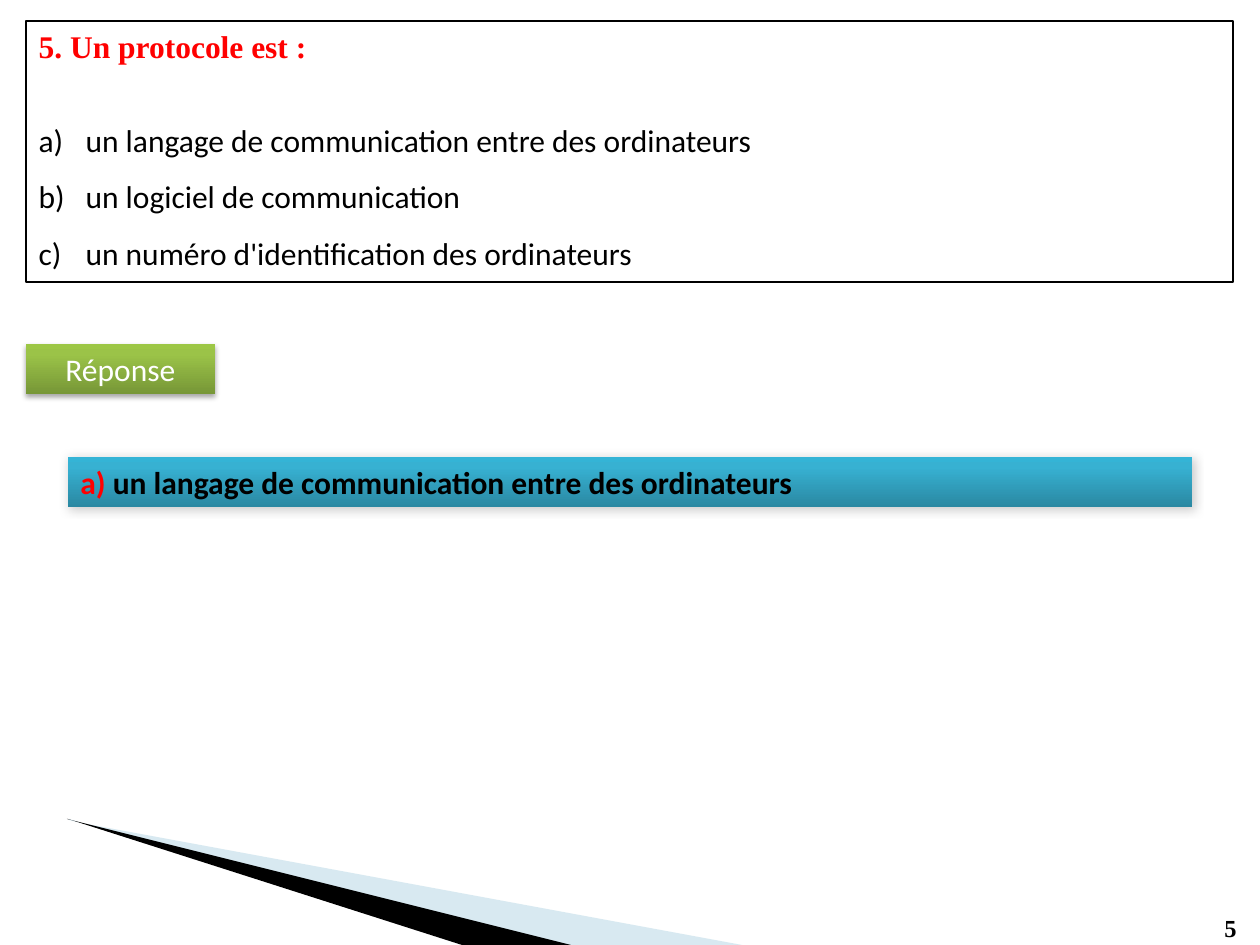
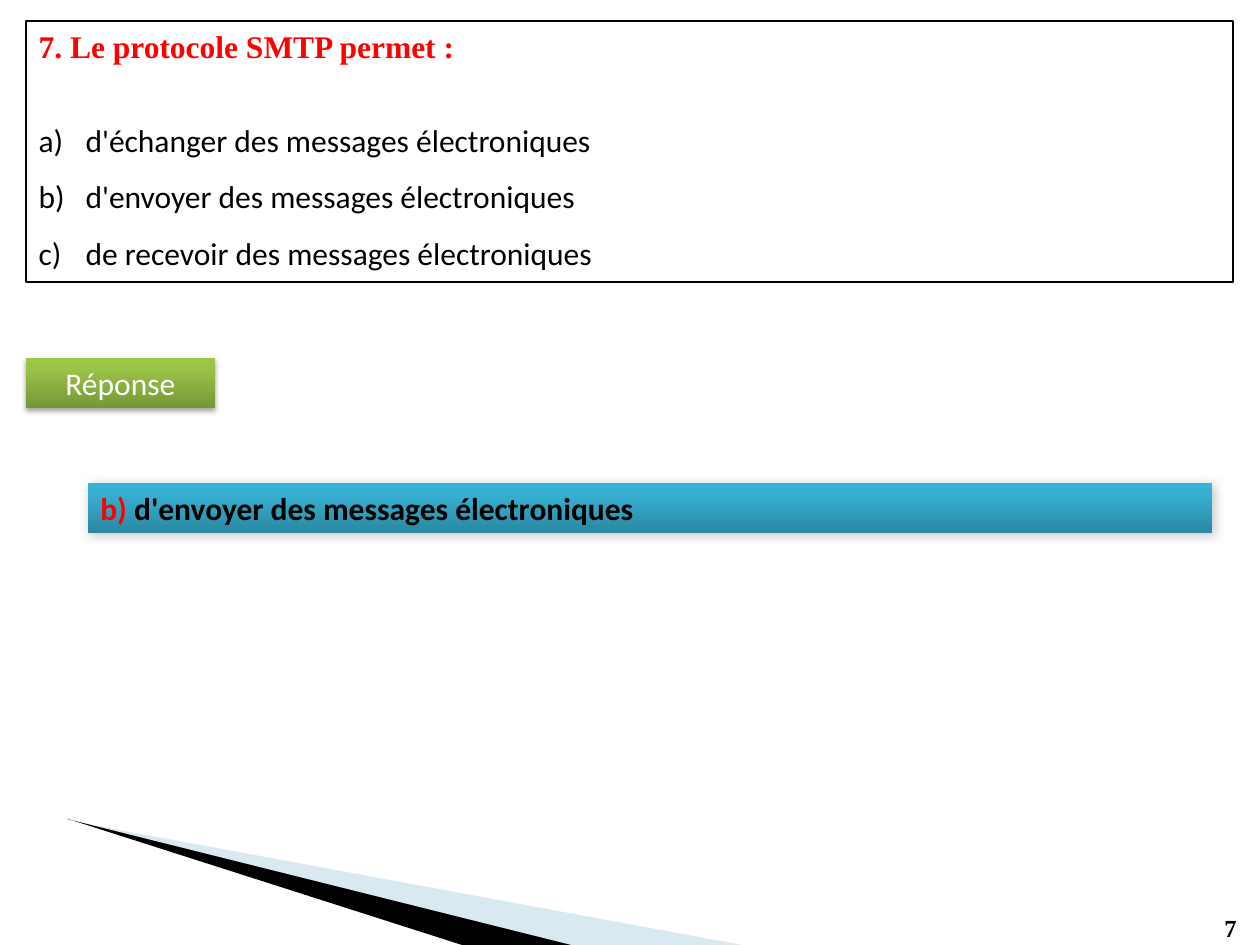
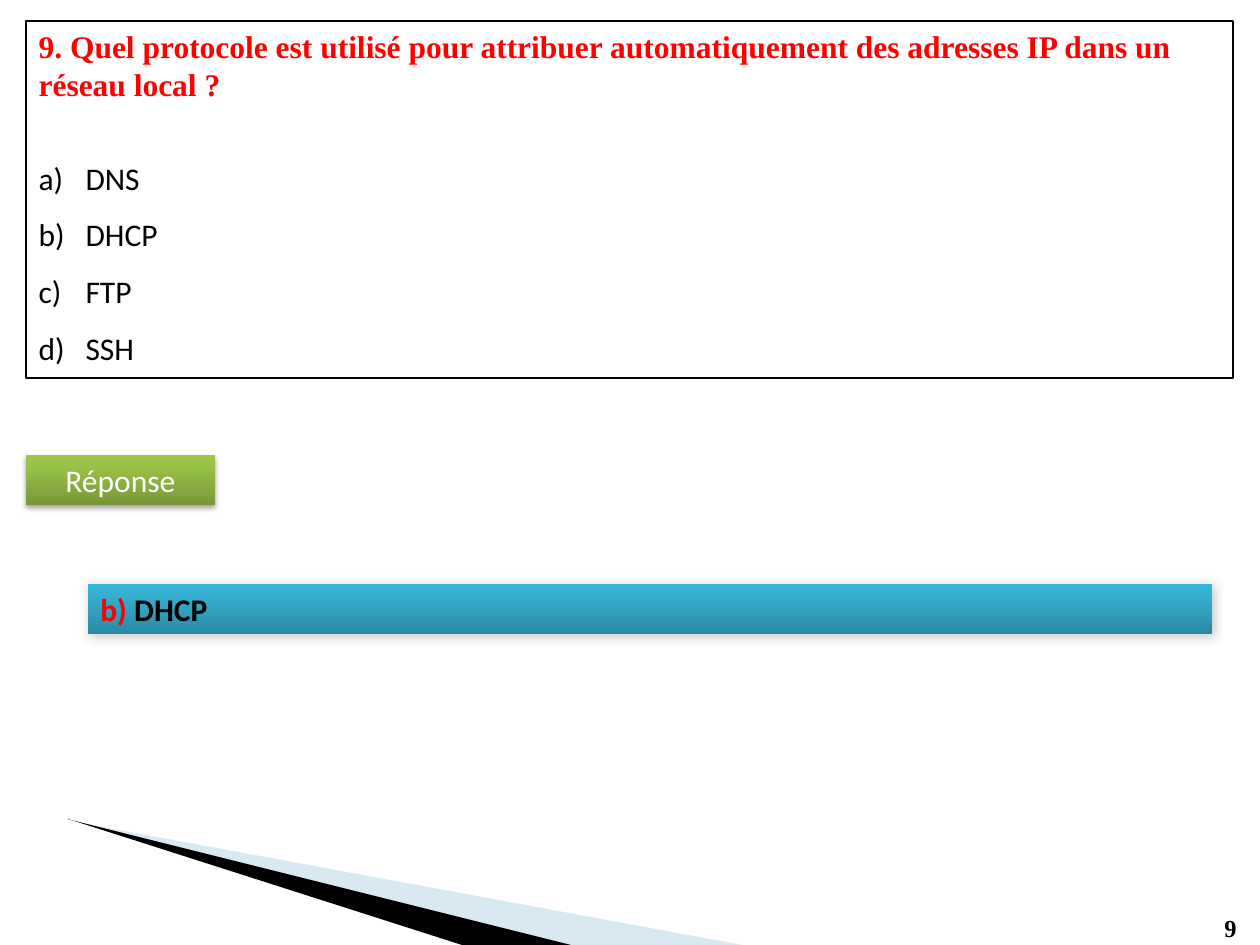
"""Build three quiz slides on network protocols, each with its answer."""
from dataclasses import dataclass

from pptx import Presentation
from pptx.dml.color import RGBColor
from pptx.enum.shapes import MSO_SHAPE
from pptx.enum.text import MSO_ANCHOR, MSO_AUTO_SIZE, PP_ALIGN
from pptx.oxml import parse_xml
from pptx.oxml.ns import nsdecls, qn
from pptx.util import Emu, Pt

RECT = MSO_SHAPE.RECTANGLE
TOP = MSO_ANCHOR.TOP
FIXED = MSO_AUTO_SIZE.NONE
LEFT, CENTER = PP_ALIGN.LEFT, PP_ALIGN.CENTER

QUIZ = [
    {"page": "5", "ask": "5. Un protocole est :",
     "picks": ["un langage de communication entre des ordinateurs",
               "un logiciel de communication",
               "un numéro d'identification des ordinateurs"],
     "right": 0, "high": 261, "label": 344, "reply": (68, 457)},
    {"page": "7", "ask": "7. Le protocole SMTP permet :",
     "picks": ["d'échanger des messages électroniques",
               "d'envoyer des messages électroniques",
               "de recevoir des messages électroniques"],
     "right": 1, "high": 261, "label": 358, "reply": (88, 483)},
    {"page": "9", "ask": "9. Quel protocole est utilisé pour attribuer "
                         "automatiquement des adresses IP dans un réseau local ?",
     "picks": ["DNS", "DHCP", "FTP", "SSH"],
     "right": 1, "high": 357, "label": 455, "reply": (88, 584)},
]
PALE = [[(81, 823), (568, 945), (742, 945)], [(69, 819), (69, 820), (81, 823)]]
DARK = [[(67, 819), (68, 819), (462, 945), (571, 945)]]


@dataclass(frozen=True)
class Theme:
    """Colours, fonts and type sizes."""
    sans: str = "Calibri"
    serif: str = "Times New Roman"
    text: int = 18
    small: int = 14
    gap: int = 21
    ink: str = "000000"
    red: str = "FF0000"
    white: str = "FFFFFF"
    pale: str = "9FCADC"
    green: tuple = ("779737", "9BC348", "9DC746")
    blue: tuple = ("2A88A2", "37B1D2", "34B4D6")
    near: tuple = (35, 3.1, 1.8, 90)
    soft: tuple = (20, 6, 1, 45)


T = Theme()
UNIT = 914400 / 126


def px(n):
    """Turn px into EMU."""
    return Emu(round(n * UNIT))


def style(font, color, face=T.sans, size=T.text, bold=False):
    """Set a font."""
    font.name, font.size, font.bold = face, Pt(size), bold
    font.color.rgb = RGBColor.from_string(color)


def wedge(slide, rings, color, alpha=100):
    """Draw a filled outline and return its element."""
    pen = slide.shapes.build_freeform(*rings[0][0], scale=UNIT)
    pen.add_line_segments(rings[0][1:])
    for ring in rings[1:]:
        pen.move_to(*ring[0])
        pen.add_line_segments(ring[1:])
    shape = pen.convert_to_shape()
    shape.shadow.inherit = False
    shape.line.fill.background()
    shape.fill.solid()
    shape.fill.fore_color.rgb = RGBColor.from_string(color)
    tint = shape.element.spPr.find(".//" + qn("a:srgbClr"))
    tint.append(parse_xml(f'<a:alpha {nsdecls("a")} val="{alpha * 1000}"/>'))
    return shape.element


def decorate(layout, slide):
    """Give the layout the corner wedges in place of its footers."""
    for item in list(layout.placeholders)[1:]:
        item.element.getparent().remove(item.element)
    for item in [wedge(slide, PALE, T.pale, 40), wedge(slide, DARK, T.ink)]:
        layout.shapes.element.append(item)


def bar(slide, x, y, w, colors, shade):
    """Add a shaded bar with a shadow and return its paragraph."""
    shape = slide.shapes.add_shape(RECT, px(x), px(y), px(w), px(50))
    shape.line.fill.background()
    shape.shadow.inherit = False
    stops = "".join(f'<a:gs pos="{at * 1000}"><a:srgbClr val="{tone}"/></a:gs>'
                    for at, tone in zip((0, 80, 100), colors))
    props = shape.element.spPr
    props.find(qn("a:ln")).addprevious(parse_xml(
        f'<a:gradFill {nsdecls("a")} rotWithShape="1"><a:gsLst>{stops}</a:gsLst>'
        '<a:lin ang="16200000" scaled="0"/></a:gradFill>'))
    alpha, blur, dist, angle = shade
    props.find(qn("a:effectLst")).append(parse_xml(
        f'<a:outerShdw {nsdecls("a")} blurRad="{Pt(blur)}" dist="{Pt(dist)}" '
        f'dir="{angle * 60000}" rotWithShape="0"><a:srgbClr val="{T.ink}">'
        f'<a:alpha val="{alpha * 1000}"/></a:srgbClr></a:outerShdw>'))
    shape.text_frame.vertical_anchor = TOP
    return shape.text_frame.paragraphs[0]


def option(frame, text, first):
    """Add one lettered choice."""
    para = frame.add_paragraph()
    para.text, para.alignment, para.line_spacing = text, LEFT, 1.5
    para.space_before = Pt(T.gap if first else 0)
    props = para._p.get_or_add_pPr()
    props.set("marL", str(px(47)))
    props.set("indent", str(-px(47)))
    props.append(parse_xml(f'<a:buAutoNum {nsdecls("a")} type="alphaLcParenR"/>'))
    style(para.font, T.ink)


def question(slide, item):
    """Fill the framed title with the question and its choices."""
    box = slide.shapes.title
    box.left, box.top, box.width, box.height = map(px, (26, 21, 1207, item["high"]))
    box.line.color.rgb = RGBColor.from_string(T.ink)
    box.line.width = Pt(0.75)
    frame = box.text_frame
    frame.auto_size, frame.vertical_anchor, frame.word_wrap = FIXED, TOP, True
    para = frame.paragraphs[0]
    para.text, para.alignment = item["ask"], LEFT
    style(para.font, T.red, T.serif, bold=True)
    for n, pick in enumerate(item["picks"]):
        option(frame, pick, n == 0)


def answer(slide, item):
    """Add the answer label and the right choice."""
    para = bar(slide, 26, item["label"], 189, T.green, T.near)
    para.text, para.alignment = "Réponse", CENTER
    style(para.font, T.white)
    para = bar(slide, *item["reply"], 1124, T.blue, T.soft)
    para.alignment = LEFT
    n = item["right"]
    for text, color in [("abcd"[n] + ") ", T.red), (item["picks"][n], T.ink)]:
        run = para.add_run()
        run.text = text
        style(run.font, color, bold=True)


def number(slide, page):
    """Add the page number."""
    box = slide.shapes.add_textbox(px(1212), px(907), px(45), px(43))
    box.text_frame.word_wrap = True
    para = box.text_frame.paragraphs[0]
    para.text = page
    style(para.font, T.ink, T.serif, T.small, True)


def main():
    """Build and save the deck."""
    deck = Presentation()
    deck.slide_width, deck.slide_height = px(1260), px(945)
    layout = deck.slide_layouts[5]
    for n, item in enumerate(QUIZ):
        slide = deck.slides.add_slide(layout)
        if n == 0:
            decorate(layout, slide)
        number(slide, item["page"])
        question(slide, item)
        answer(slide, item)
    deck.save("out.pptx")


if __name__ == "__main__":
    main()
